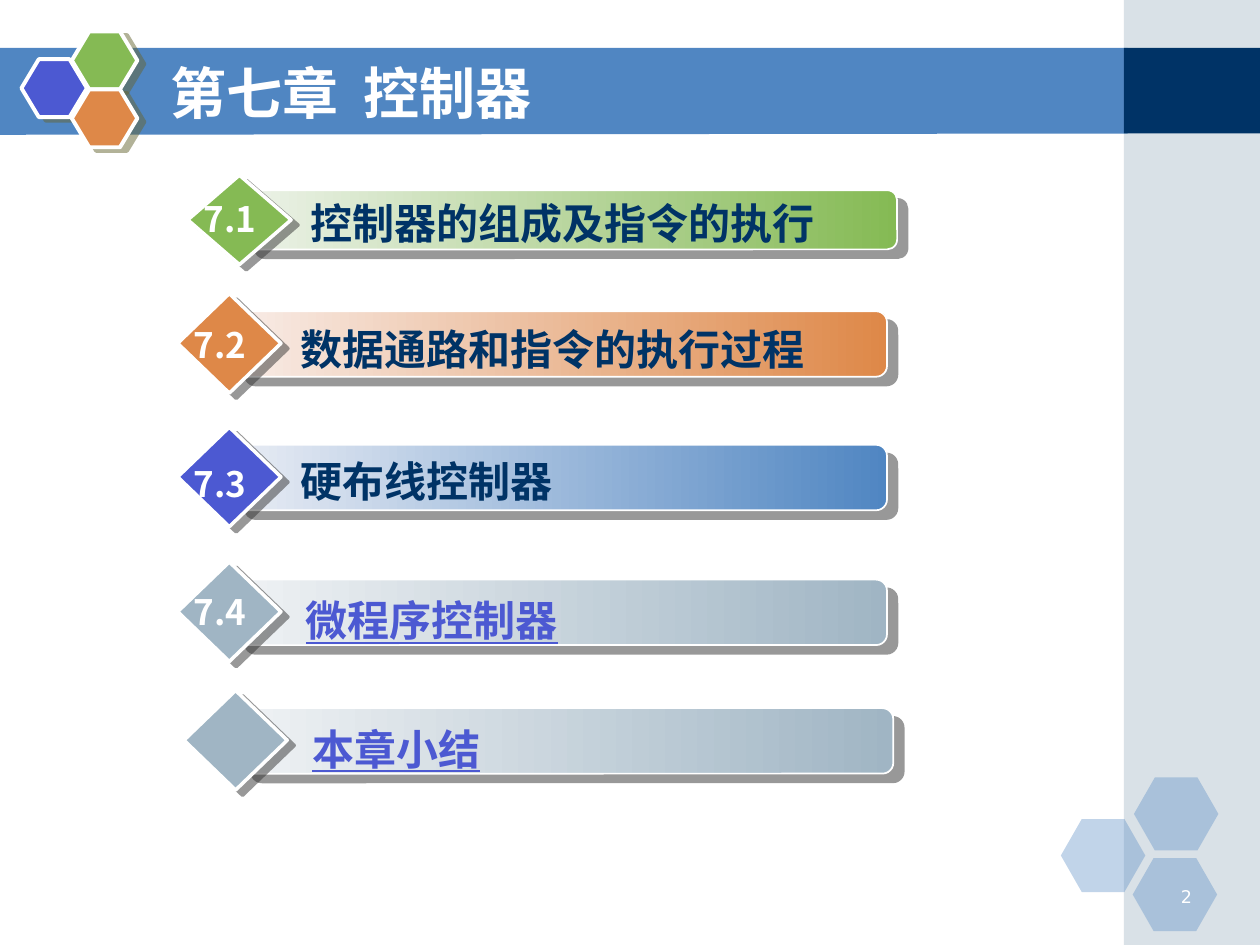
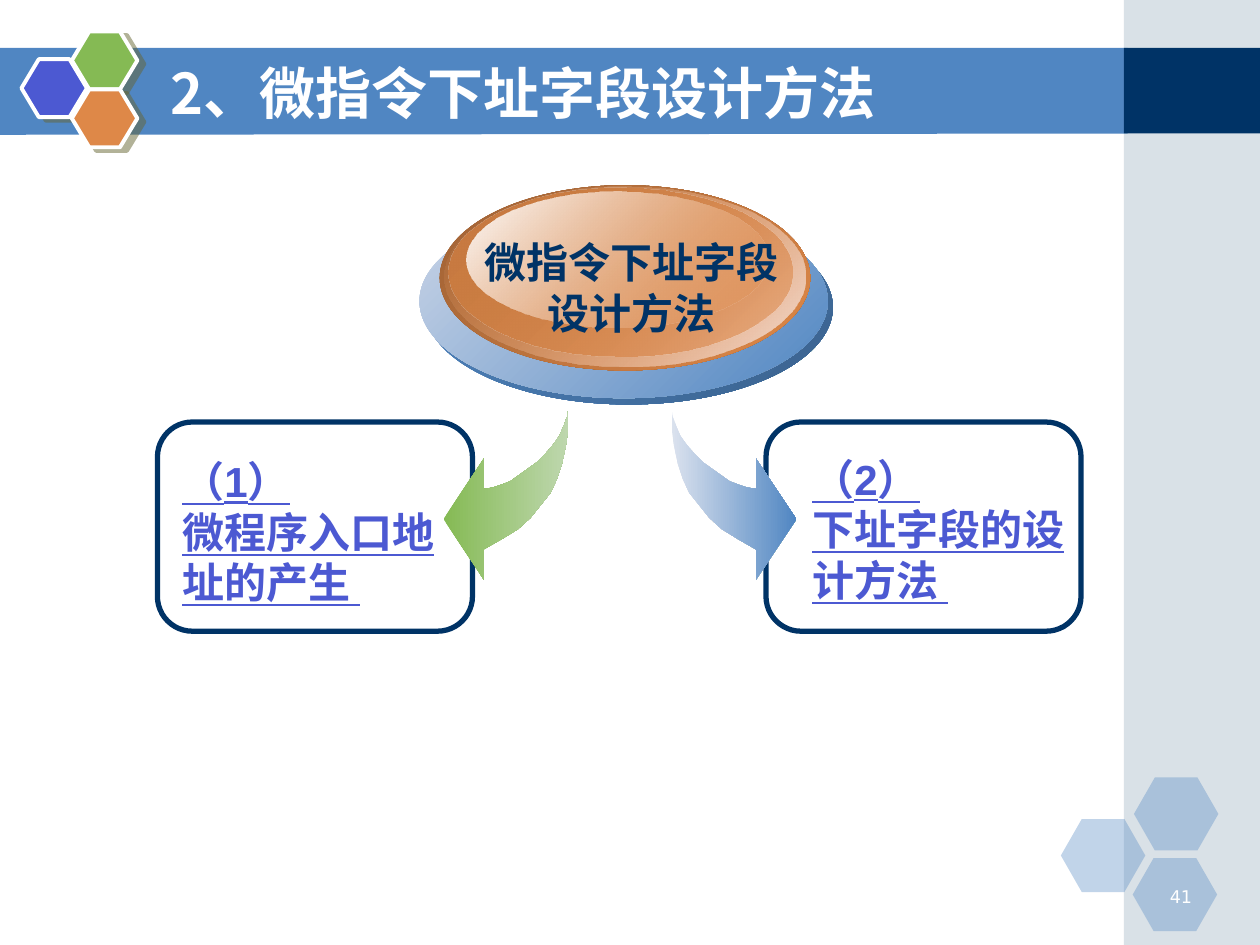
from lxml.etree import SubElement
from pptx import Presentation
from pptx.dml.color import RGBColor
from pptx.enum.shapes import MSO_SHAPE
from pptx.enum.text import MSO_ANCHOR, MSO_AUTO_SIZE, PP_ALIGN
from pptx.oxml.ns import qn
from pptx.util import Pt

PX = 9144
CJK = "Noto Sans CJK SC"
INK = {
    "white": "FFFFFF", "navy": "003366", "blue": "5086C2", "violet": "4C59D2",
    "green": "85BA54", "orange": "DE8848", "gray": "A0B5C4", "olive": "666633",
    "shade": "333333", "mist": "EFF2F4", "mint": "ECF2E8", "peach": "F8ECE7",
    "ice": "E8ECF4", "leaf": "BED7AE", "pale": "DBE2EE", "deep": "3A628E",
    "sky": "CAD5E7", "brown": "9F6134", "cream": "F4DFD6", "rust": "C97B41",
}
ROWS = [
    (194, 151, 47, "mint", "green", "green", "7.1", 1, "控制器的组成及指令的执行", 1, False),
    (186, 247, 52, "peach", "orange", "orange", "7.2", 5, "数据通路和指令的执行过程", 5, False),
    (186, 353, 52, "ice", "blue", "violet", "7.3", 9, "硬布线控制器", 4, False),
    (186, 460, 52, "mist", "gray", "gray", "7.4", 4, "微程序控制器", 7, True),
    (191, 562, 52, "mist", "gray", "gray", "", 0, "本章小结", 7, True),
]
DISCS = [
    (4, 20, 324, 154, ("blue", 100), ("deep", 100)),
    (0, 15, 324, 154, ("sky", 100), ("blue", 100)),
    (16, 0, 294, 147, ("brown", 100), ("orange", 100)),
    (20, 1, 286, 143, ("orange", 0), ("cream", 100)),
    (23, 2, 273, 134, ("rust", 100), ("orange", 48)),
    (37, 5, 240, 108, ("white", 100), ("orange", 38)),
]
CURVE = [
    (99, 0), (99, 15), (97, 29), (94, 43), (90, 55), (85, 66), (77, 76),
    (69, 86), (59, 95), (46, 103), (32, 111), (32, 135), (0, 87), (32, 39),
    (32, 63), (39, 62), (45, 60), (53, 57), (60, 52), (67, 47), (74, 42),
    (81, 35), (87, 28), (92, 21), (95, 14), (98, 6),
]


def rgb(name):
    return RGBColor.from_string(INK[name])


def style(item, *stops, angle=0, line=None, cast=None):
    if not stops:
        item.fill.background()
    elif len(stops) == 1:
        item.fill.solid()
        item.fill.fore_color.rgb = rgb(stops[0][0])
    else:
        item.fill.gradient()
        item.fill.gradient_angle = angle
        for stop, (name, _) in zip(item.fill.gradient_stops, stops):
            stop.color.rgb = rgb(name)
    props = item._element.spPr
    for node, (_, alpha) in zip(props.findall(".//" + qn("a:srgbClr")), stops):
        if alpha < 100:
            SubElement(node, qn("a:alpha"), val=str(alpha * 1000))
    if line:
        item.line.color.rgb = rgb(line[0])
        item.line.width = Pt(line[1])
    else:
        item.line.fill.background()
    item.shadow.inherit = False
    if cast:
        name, dist, turn = cast
        drop = SubElement(props.find(qn("a:effectLst")), qn("a:outerShdw"),
                          dist=str(Pt(dist)), dir=str(turn * 60000),
                          algn="ctr", rotWithShape="0")
        tone = SubElement(drop, qn("a:srgbClr"), val=INK[name])
        SubElement(tone, qn("a:alpha"), val="50000")


def draw(slide, kind, box, *stops, adj=None, **look):
    item = slide.shapes.add_shape(kind, *(n * PX for n in box))
    if adj:
        item.adjustments[0] = adj
    style(item, *stops, **look)


def trace(slide, spots, *stops):
    pen = slide.shapes.build_freeform(*spots[0], scale=PX)
    pen.add_line_segments(spots[1:], close=True)
    style(pen.convert_to_shape(), *stops)


def write(frame, lines, size, tint, face=CJK, bold=True, under=None, align=PP_ALIGN.LEFT):
    frame.word_wrap = True
    frame.auto_size = MSO_AUTO_SIZE.NONE
    frame.text = lines
    for para in frame.paragraphs:
        para.alignment = align
        font = para.font
        font.name, font.size, font.bold, font.underline = face, Pt(size), bold, under
        font.color.rgb = rgb(tint)
        SubElement(font._element, qn("a:ea"), typeface=CJK)


def label(slide, box, lines, size, tint, **look):
    item = slide.shapes.add_textbox(*(n * PX for n in box))
    write(item.text_frame, lines, size, tint, **look)


def frame(slide):
    trace(slide, [(-1, 38), (895, 38), (895, 106), (-1, 107)], ("blue", 100))
    draw(slide, MSO_SHAPE.RECTANGLE, (892, 0, 108, 750), ("gray", 40))
    draw(slide, MSO_SHAPE.RECTANGLE, (892, 38, 108, 68), ("navy", 100))
    for x, y in [(842, 650), (900, 617), (899, 681)]:
        draw(slide, MSO_SHAPE.HEXAGON, (x, y, 67, 58), ("blue", 35), adj=0.286)
    for x, y, tint in [(17, 47, "violet"), (57, 25, "green"), (57, 71, "orange")]:
        draw(slide, MSO_SHAPE.HEXAGON, (x, y, 52, 46), (tint, 100), adj=0.3,
             line=("white", 2.25), cast=("olive", 4.5, 27))


def share(slide, layout):
    frame(slide)
    for item in list(slide.shapes):
        if not item.is_placeholder:
            layout.shapes._spTree.append(item._element)


def head(slide, text, page):
    title = slide.shapes.title
    title.left, title.top, title.width, title.height = (n * PX for n in (125, 42, 733, 62))
    write(title.text_frame, text, 32, "white")
    title.text_frame.vertical_anchor = MSO_ANCHOR.MIDDLE
    label(slide, (906, 698, 50, 25), page, 10, "white",
          face="DejaVu Sans", bold=False, align=PP_ALIGN.RIGHT)


def row(slide, x, y, high, pale, tint, gem, mark, drop, text, sink, link):
    draw(slide, MSO_SHAPE.ROUNDED_RECTANGLE, (x, y, 518, high), (pale, 100), (tint, 100),
         line=("white", 1), cast=("shade", 7.8, 40))
    size = high * 3 // 2 + 1
    draw(slide, MSO_SHAPE.DIAMOND, (x - 45, y + (high - size) // 2, 82, size), (gem, 100),
         line=("white", 2), cast=("shade", 5, 37))
    left = x + (47 if link else 43)
    label(slide, (left, y + sink, 460, 50), text, 24,
          "violet" if link else "navy", under=link)
    if mark:
        label(slide, (x - 42, y + drop, 80, 43), mark, 20, "white")


def hub(slide, x, y, text):
    for dx, dy, wide, high, *stops in DISCS:
        draw(slide, MSO_SHAPE.OVAL, (x + dx, y + dy, wide, high), *stops, angle=315)
    label(slide, (x + 36, y + 36, 265, 90), text, 24, "navy",
          face="Arial", align=PP_ALIGN.CENTER)


def card(slide, x, y):
    draw(slide, MSO_SHAPE.ROUNDED_RECTANGLE, (x, y, 250, 166), line=("navy", 3))


def link(slide, x, y, lines):
    label(slide, (x, y, 223, 130), lines, 24, "violet", face="Arial", under=True)


def arrow(slide, x, y, flip, *stops):
    trace(slide, [(x + (99 - dx if flip else dx), y + dy) for dx, dy in CURVE], *stops)


def main():
    deck = Presentation()
    deck.slide_width, deck.slide_height = 1000 * PX, 750 * PX
    layout = deck.slide_layouts[5]

    plan = deck.slides.add_slide(layout)
    share(plan, layout)
    head(plan, "第七章  控制器", "2")
    for spec in ROWS:
        row(plan, *spec)

    ways = deck.slides.add_slide(layout)
    head(ways, "2、微指令下址字段设计方法", "41")
    for x in (608, 125):
        card(ways, x, 335)
    link(ways, 135, 357, "（1）\n微程序入口地址的产生 ")
    arrow(ways, 352, 325, False, ("green", 100), ("leaf", 100))
    arrow(ways, 533, 325, True, ("pale", 100), ("blue", 100))
    hub(ways, 333, 147, "微指令下址字段设计方法")
    link(ways, 635, 355, "（2）\n下址字段的设计方法 ")

    deck.save("out.pptx")


if __name__ == "__main__":
    main()
